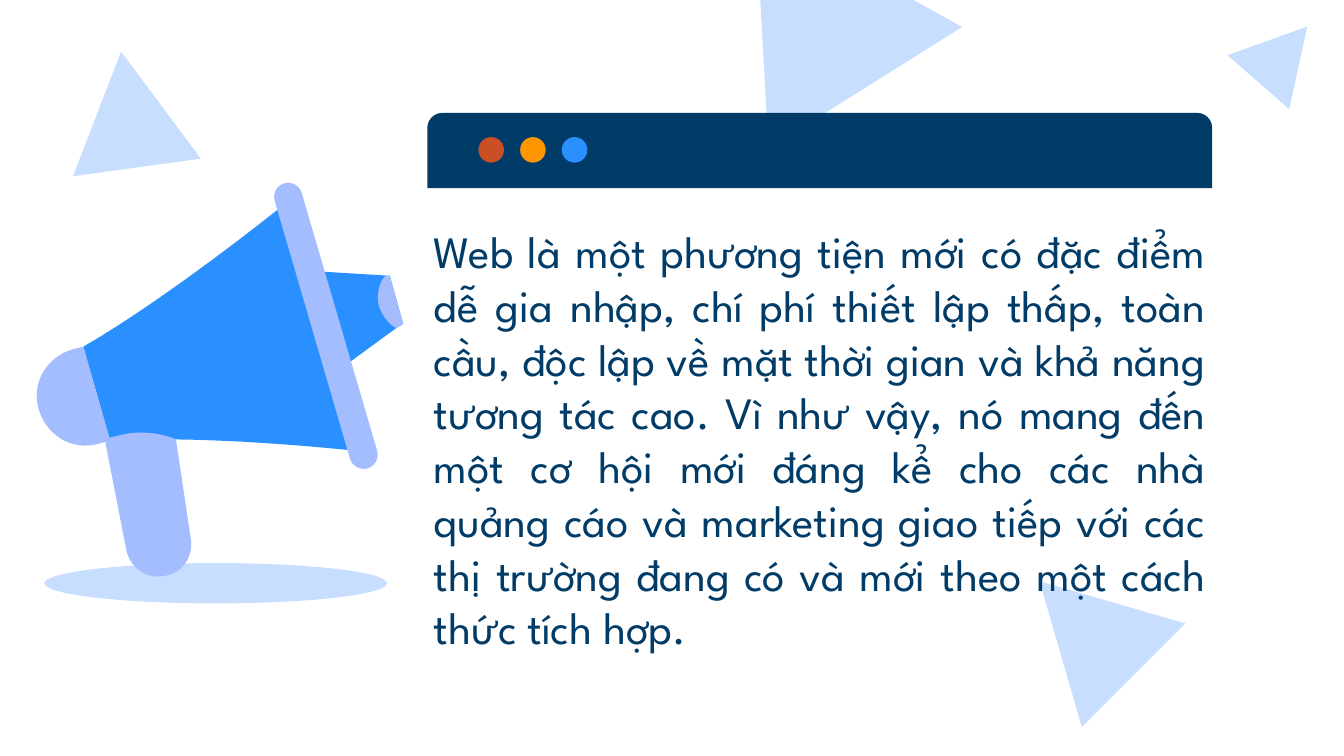
from dataclasses import dataclass

from pptx import Presentation
from pptx.dml.color import RGBColor
from pptx.enum.shapes import MSO_SHAPE
from pptx.enum.text import MSO_ANCHOR, PP_ALIGN
from pptx.util import Inches, Pt


@dataclass(frozen=True)
class Theme:
    navy: str = "003C67"
    blue: str = "2A90FF"
    lilac: str = "A3BDFF"
    pale: str = "C8DEFF"
    orange: str = "FF9500"
    red: str = "CA4F24"
    white: str = "FFFFFF"
    font: str = "League Spartan"
    body_size: int = 24


theme = Theme()
CURVE_STEPS = 16

prs = Presentation()
prs.slide_width = Inches(10)
prs.slide_height = Inches(10 * 9 / 16)
slide = prs.slides.add_slide(prs.slide_layouts[6])


def add_preset(kind, box, color, rotation=0, corner=None):
    preset = slide.shapes.add_shape(kind, *map(Inches, box))
    preset.fill.solid()
    preset.fill.fore_color.rgb = RGBColor.from_string(color)
    preset.line.fill.background()
    preset.shadow.inherit = False
    preset.rotation = rotation
    if corner is not None:
        preset.adjustments[0] = corner


def add_outline(start, segments, color):
    """Draw a closed outline; a segment is an end point or three cubic Bézier points."""
    points = [start]
    for segment in segments:
        if len(segment) == 2:
            points.append(segment)
            continue
        controls = (*points[-1], *segment)
        for step in range(1, CURVE_STEPS + 1):
            t = step / CURVE_STEPS
            weights = ((1 - t) ** 3, 3 * t * (1 - t) ** 2, 3 * t**2 * (1 - t), t**3)
            points.append(tuple(
                sum(w * c for w, c in zip(weights, controls[axis::2])) for axis in (0, 1)
            ))
    vertices = [(Inches(x), Inches(y)) for x, y in points]
    builder = slide.shapes.build_freeform(*vertices[0], scale=1.0)
    builder.add_line_segments(vertices[1:], close=True)
    outline = builder.convert_to_shape()
    outline.fill.solid()
    outline.fill.fore_color.rgb = RGBColor.from_string(color)
    outline.line.fill.background()
    outline.shadow.inherit = False


# Background triangles
for box, rotation in [
    ((5.18, -0.77, 1.7, 1.54), 327.9),
    ((0.48, 0.38, 0.96, 0.87), 352.2),
    ((9.24, 0.13, 0.61, 0.55), 41.2),
    ((7.54, 4.18, 1.09, 0.99), 315),
]:
    add_preset(MSO_SHAPE.ISOSCELES_TRIANGLE, box, theme.pale, rotation)

# Browser window
window_left, window_width = 3.18, 5.84
add_preset(MSO_SHAPE.ROUND_2_SAME_RECTANGLE, (window_left, 1.39, window_width, 2.52),
           theme.white, rotation=180, corner=0.05)
add_preset(MSO_SHAPE.ROUND_2_SAME_RECTANGLE, (window_left, 0.84, window_width, 0.56),
           theme.navy, corner=0.2)
for index, color in enumerate((theme.red, theme.orange, theme.blue)):
    add_preset(MSO_SHAPE.OVAL, (3.56 + index * 0.31, 1.02, 0.19, 0.19), color)

# Body text
body = slide.shapes.add_textbox(*map(Inches, (3.13, 1.58, 5.94, 3.37))).text_frame
body.word_wrap = True
body.vertical_anchor = MSO_ANCHOR.MIDDLE
body.margin_left = body.margin_right = body.margin_top = body.margin_bottom = Inches(0.1)
body.text = (
    "Web là một phương tiện mới có đặc điểm dễ gia nhập, chí phí thiết lập thấp, "
    "toàn cầu, độc lập về mặt thời gian và khả năng tương tác cao. Vì như vậy, nó "
    "mang đến một cơ hội mới đáng kể cho các nhà quảng cáo và marketing giao tiếp "
    "với các thị trường đang có và mới theo một cách thức tích hợp."
)
paragraph = body.paragraphs[0]
paragraph.alignment = PP_ALIGN.JUSTIFY
font = paragraph.runs[0].font
font.name, font.size = theme.font, Pt(theme.body_size)
font.color.rgb = RGBColor.from_string(theme.navy)

# Megaphone: ground shadow, mouthpiece, mouthpiece end, horn, rim, back cap, handle
add_preset(MSO_SHAPE.OVAL, (0.33, 4.19, 2.55, 0.3), theme.pale)
add_outline((2.38, 2.02), [(2.58, 2.71), (2.95, 2.44), (3, 2.41), (2.9, 2.05),
                           (2.87, 2.05)], theme.blue)
add_outline((2.87, 2.05), [(2.82, 2.1, 2.8, 2.19, 2.82, 2.28),
                           (2.85, 2.36, 2.9, 2.42, 2.95, 2.44),
                           (3, 2.41), (2.9, 2.05)], theme.lilac)
add_outline((2.23, 1.43), [(2.23, 1.43, 1.3, 2.19, 0.62, 2.58), (0.82, 3.28),
                           (1.61, 3.23, 2.79, 3.37, 2.79, 3.37)], theme.blue)
add_preset(MSO_SHAPE.ROUNDED_RECTANGLE, (2.32, 1.32, 0.21, 2.21), theme.lilac,
           rotation=343.7, corner=0.5)
add_outline((0.54, 2.6), [(0.34, 2.66, 0.23, 2.86, 0.29, 3.05),
                          (0.35, 3.25, 0.55, 3.36, 0.74, 3.3),
                          (0.82, 3.28), (0.62, 2.58)], theme.lilac)
add_outline((0.85, 3.25), [(0.83, 3.25, 0.81, 3.26, 0.78, 3.27), (0.94, 4.09),
                           (0.97, 4.24, 1.11, 4.32, 1.25, 4.28),
                           (1.37, 4.25, 1.44, 4.13, 1.42, 4.01), (1.31, 3.27),
                           (1.31, 3.27, 1.1, 3.17, 0.85, 3.25)], theme.lilac)

prs.save("out.pptx")
